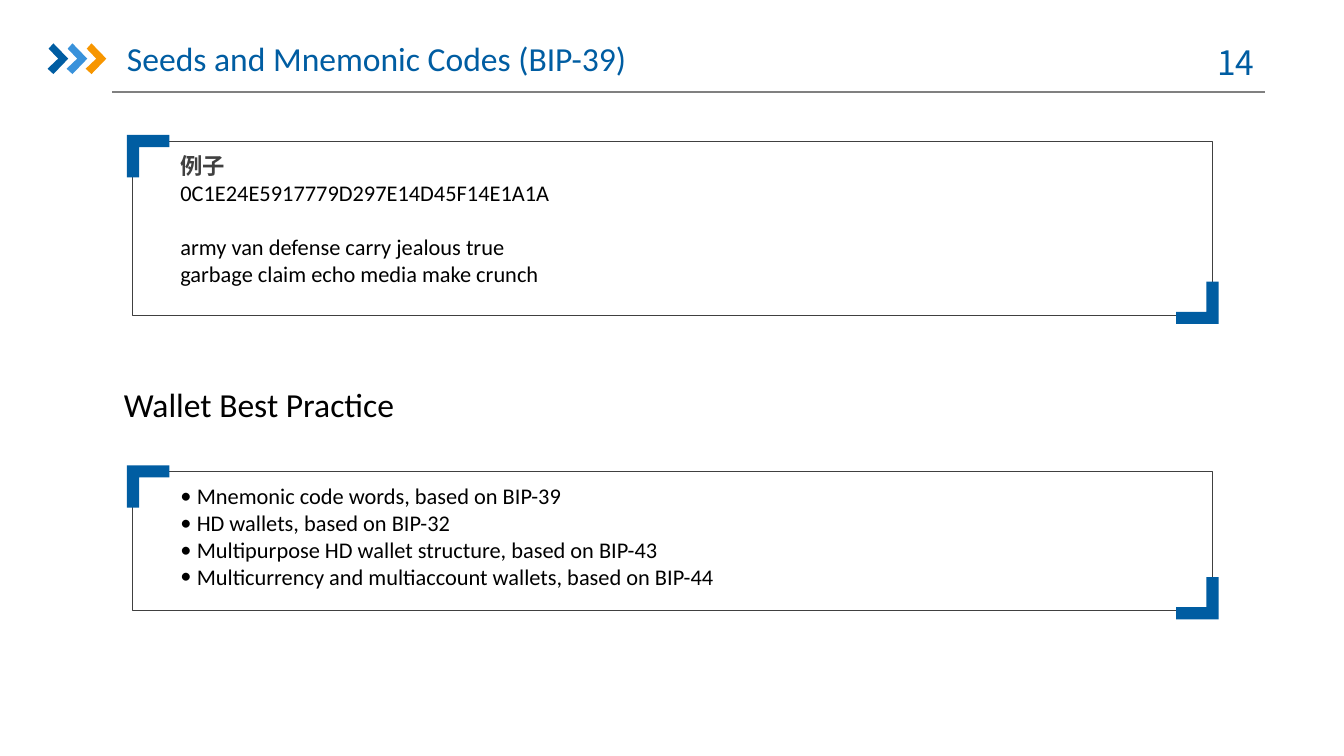
import dataclasses
import pptx
import pptx.dml.color
import pptx.enum.shapes
import pptx.enum.text
import pptx.oxml
import pptx.oxml.ns
import pptx.util
from pptx.util import Cm

RGB = pptx.dml.color.RGBColor.from_string
ALIGN = pptx.enum.text.PP_ALIGN
ANCHOR = pptx.enum.text.MSO_ANCHOR
AUTO = pptx.enum.text.MSO_AUTO_SIZE


@dataclasses.dataclass(frozen=True)
class Theme:
    blue: str = "005DA2"
    sky: str = "3992DB"
    orange: str = "F79600"
    rule: str = "808080"
    frame: str = "404040"
    ink: str = "000000"
    heading: int = 18
    body: int = 12
    latin: str = "Calibri"
    label: str = "Arial"
    cjk: str = "Noto Sans CJK SC"


T = Theme()


def apply(target, values):
    for name, value in values.items():
        setattr(target, name, value)


def set_text(p, text, color, size, name=T.latin, bold=False):
    r = p.add_run()
    r.text = text
    apply(r.font, {"size": pptx.util.Pt(size), "name": name, "bold": bold})
    r.font.color.rgb = RGB(color)
    return r


def set_frame(tf, margins, **values):
    sides = ("margin_left", "margin_top", "margin_right", "margin_bottom")
    apply(tf, dict(zip(sides, map(Cm, margins))))
    apply(tf, values)


def add_text(s, box, margins=(0.25, 0.13, 0.25, 0.13), wrap=True):
    tf = s.shapes.add_textbox(*map(Cm, box)).text_frame
    set_frame(tf, margins, word_wrap=wrap, auto_size=AUTO.SHAPE_TO_FIT_TEXT)
    return tf


def add_outline(s, points, color):
    pts = [(Cm(x), Cm(y)) for x, y in points]
    fb = s.shapes.build_freeform(*pts[0])
    fb.add_line_segments(pts[1:], close=True)
    sp = fb.convert_to_shape()
    sp.shadow.inherit = False
    sp.fill.solid()
    sp.fill.fore_color.rgb = RGB(color)
    sp.line.fill.background()


def add_chevrons(s, x, y, step):
    shape = [(0.02, 0.1), (0.11, 0), (0.39, 0.29), (0.11, 0.58), (0, 0.48), (0.2, 0.29)]
    for i, color in enumerate((T.blue, T.sky, T.orange)):
        add_outline(s, [(x + i * step + dx, y + dy) for dx, dy in shape], color)


def add_header(s, box, title, number):
    x, y, w, h = box
    line = s.shapes.add_connector(
        pptx.enum.shapes.MSO_CONNECTOR.STRAIGHT, Cm(x + 1.22), Cm(y + h), Cm(x + w), Cm(y + h))
    line.line.width = pptx.util.Pt(0.75)
    line.line.color.rgb = RGB(T.rule)
    line._element.spPr.append(pptx.oxml.parse_xml(
        f"<a:effectLst {pptx.oxml.ns.nsdecls('a')}/>"))
    add_chevrons(s, x, y + 0.25, 0.36)

    p = add_text(s, (x + w - 1.48, y + 0.1, 1.85, 1.02)).paragraphs[0]
    p.alignment = ALIGN.CENTER
    set_text(p, number, T.blue, T.heading, T.cjk)

    sp = s.shapes.title
    apply(sp, {"left": Cm(x + 1.5), "top": Cm(y), "width": Cm(11.35), "height": Cm(1.07)})
    set_frame(sp.text_frame, (0, 0.13, 0, 0.13), word_wrap=True,
              auto_size=AUTO.NONE, vertical_anchor=ANCHOR.MIDDLE)
    p = sp.text_frame.paragraphs[0]
    p.alignment = ALIGN.LEFT
    set_text(p, title, T.blue, T.heading)


def add_corner(s, x, y, sign):
    arm, thick = 0.8, 0.23
    shape = [(0, 0), (arm, 0), (arm, thick), (thick, thick), (thick, arm), (0, arm)]
    add_outline(s, [(x + sign * dx, y + sign * dy) for dx, dy in shape], T.blue)


def add_panel(s, box):
    x, y, w, h = box
    sp = s.shapes.add_shape(
        pptx.enum.shapes.MSO_SHAPE.ROUNDED_RECTANGLE, *map(Cm, box))
    sp.adjustments[0] = 0
    sp.shadow.inherit = False
    sp.fill.background()
    sp.line.color.rgb = RGB(T.frame)
    sp.line.width = pptx.util.Pt(0.25)
    tf = add_text(s, (x + 0.91, y + 0.2, w - 1.6, h - 0.65), (0, 0, 0, 0))
    add_corner(s, x - 0.1, y - 0.12, 1)
    add_corner(s, x + w + 0.12, y + h + 0.17, -1)
    return tf


def add_example(s, box, label, seed, words):
    tf = add_panel(s, box)
    r = set_text(tf.paragraphs[0], label, T.frame, T.body, T.label, True)
    r._r.get_or_add_rPr().append(pptx.oxml.parse_xml(
        f'<a:ea {pptx.oxml.ns.nsdecls("a")} typeface="{T.cjk}"/>'))
    for i, text in enumerate([seed, *words]):
        p = tf.add_paragraph()
        if i == 1:
            p.space_before = pptx.util.Pt(14.6)
        set_text(p, text, T.ink, T.body)


def add_practices(s, box, items):
    tf = add_panel(s, box)
    for i, text in enumerate(items):
        p = tf.add_paragraph() if i else tf.paragraphs[0]
        pPr = p._p.get_or_add_pPr()
        pPr.set("marL", str(Cm(0.31)))
        pPr.set("indent", str(-Cm(0.31)))
        for tag in (f'buFont {pptx.oxml.ns.nsdecls("a")} typeface="{T.latin}"',
                    f'buChar {pptx.oxml.ns.nsdecls("a")} char="•"'):
            pPr.append(pptx.oxml.parse_xml(f"<a:{tag}/>"))
        set_text(p, text, T.ink, T.body)


def main():
    prs = pptx.Presentation()
    apply(prs, {"slide_width": Cm(25.4), "slide_height": Cm(14.28)})
    s = prs.slides.add_slide(prs.slide_layouts[5])

    add_header(s, (0.9, 0.57, 23.01, 1.17), "Seeds and Mnemonic Codes (BIP-39)", "14")
    add_example(s, (2.5, 2.67, 20.41, 3.28), "例子", "0C1E24E5917779D297E14D45F14E1A1A",
                ["army van defense carry jealous true", "garbage claim echo media make crunch"])
    tf = add_text(s, (2.09, 7.12, 5.68, 1.02), wrap=False)
    set_text(tf.paragraphs[0], "Wallet Best Practice", T.ink, T.heading)
    add_practices(s, (2.5, 8.91, 20.41, 2.62), [
        "Mnemonic code words, based on BIP-39",
        "HD wallets, based on BIP-32",
        "Multipurpose HD wallet structure, based on BIP-43",
        "Multicurrency and multiaccount wallets, based on BIP-44",
    ])
    prs.save("out.pptx")


if __name__ == "__main__":
    main()
